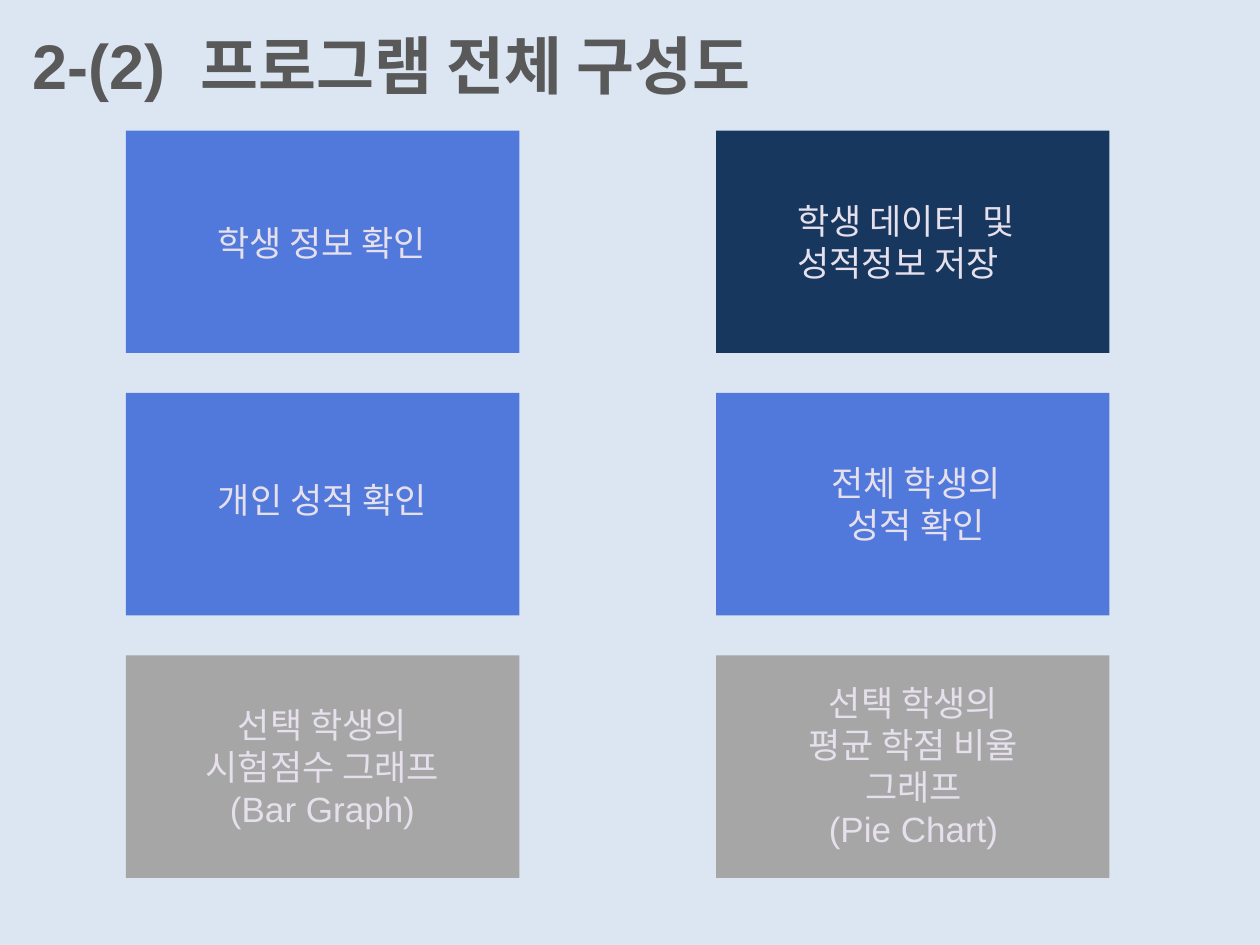
from pptx import Presentation
from pptx.dml.color import RGBColor
from pptx.enum.shapes import MSO_SHAPE
from pptx.enum.text import MSO_ANCHOR, MSO_AUTO_SIZE, PP_ALIGN
from pptx.util import Pt

RECTANGLE = MSO_SHAPE.RECTANGLE
TOP = MSO_ANCHOR.TOP
FIT_SHAPE = MSO_AUTO_SIZE.SHAPE_TO_FIT_TEXT
LEFT, CENTER = PP_ALIGN.LEFT, PP_ALIGN.CENTER

COLORS = {
    "background": "DCE6F2",
    "title": "595959",
    "label": "E6E0EC",
    "view": "5179DB",
    "storage": "17375E",
    "graph": "A6A6A6",
}
FONT = "Arial"

# Content
TITLE = "2-(2)  프로그램 전체 구성도"
# Row by row: card colour, label paragraphs, alignment, label box (left, top, width, height)
CARDS = [
    [
        ("view", ["학생 정보 확인"], CENTER, (109.4, 123.1, 149, 31.5)),
        ("storage", ["학생 데이터  및 성적정보 저장"], LEFT, (448.6, 110.2, 163.4, 55.7)),
    ],
    [
        ("view", ["개인 성적 확인"], CENTER, (100.8, 270, 167, 31.5)),
        ("view", ["전체 학생의", "성적 확인"], CENTER, (448.6, 259.9, 149.8, 55.7)),
    ],
    [
        ("graph", ["선택 학생의 시험점수 그래프(Bar Graph)"], CENTER, (109.4, 398.2, 149.8, 80)),
        ("graph", ["선택 학생의", "평균 학점 비율 그래프", "(Pie Chart)"], CENTER,
         (447.1, 385.9, 149.8, 104.4)),
    ],
]

# Card grid
GRID_LEFT, GRID_TOP = 72, 74.6
CARD_WIDTH, CARD_HEIGHT = 224.8, 127.1
COLUMN_STEP, ROW_STEP = 337.2, 150


def rgb(name):
    return RGBColor.from_string(COLORS[name])


def add_card(slide, left, top, color):
    card = slide.shapes.add_shape(
        RECTANGLE, Pt(left), Pt(top), Pt(CARD_WIDTH), Pt(CARD_HEIGHT))
    card.shadow.inherit = False
    card.fill.solid()
    card.fill.fore_color.rgb = rgb(color)
    card.line.fill.background()


def add_text(slide, box, lines, size, color, align=LEFT, bold=False, wrap=True):
    text_box = slide.shapes.add_textbox(*(Pt(value) for value in box))
    frame = text_box.text_frame
    frame.word_wrap = wrap
    frame.auto_size = FIT_SHAPE
    frame.vertical_anchor = TOP
    for index, line in enumerate(lines):
        paragraph = frame.add_paragraph() if index else frame.paragraphs[0]
        paragraph.alignment = align
        run = paragraph.add_run()
        run.text = line
        run.font.name = FONT
        run.font.size = Pt(size)
        run.font.bold = bold
        run.font.color.rgb = rgb(color)


def main():
    presentation = Presentation()
    presentation.slide_width, presentation.slide_height = Pt(720), Pt(540)
    slide = presentation.slides.add_slide(presentation.slide_layouts[6])
    slide.background.fill.solid()
    slide.background.fill.fore_color.rgb = rgb("background")

    # Title
    add_text(slide, (11.5, 11.5, 463, 51), [TITLE], 36, "title", bold=True, wrap=False)

    # Cards with their labels
    for row, cards in enumerate(CARDS):
        for column, (color, lines, align, box) in enumerate(cards):
            add_card(slide, GRID_LEFT + column * COLUMN_STEP,
                     GRID_TOP + row * ROW_STEP, color)
            add_text(slide, box, lines, 20, "label", align)

    presentation.save("out.pptx")


if __name__ == "__main__":
    main()
